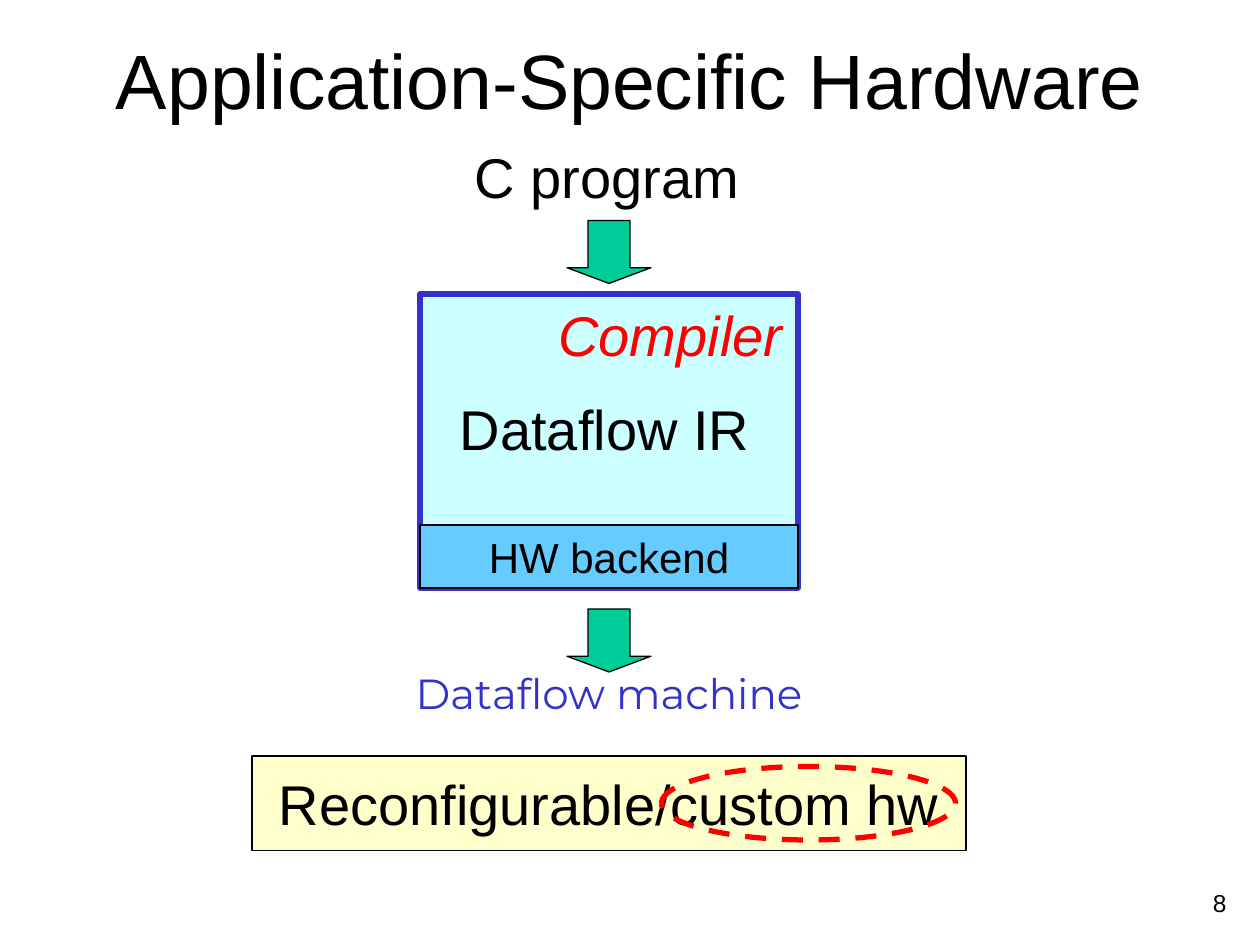
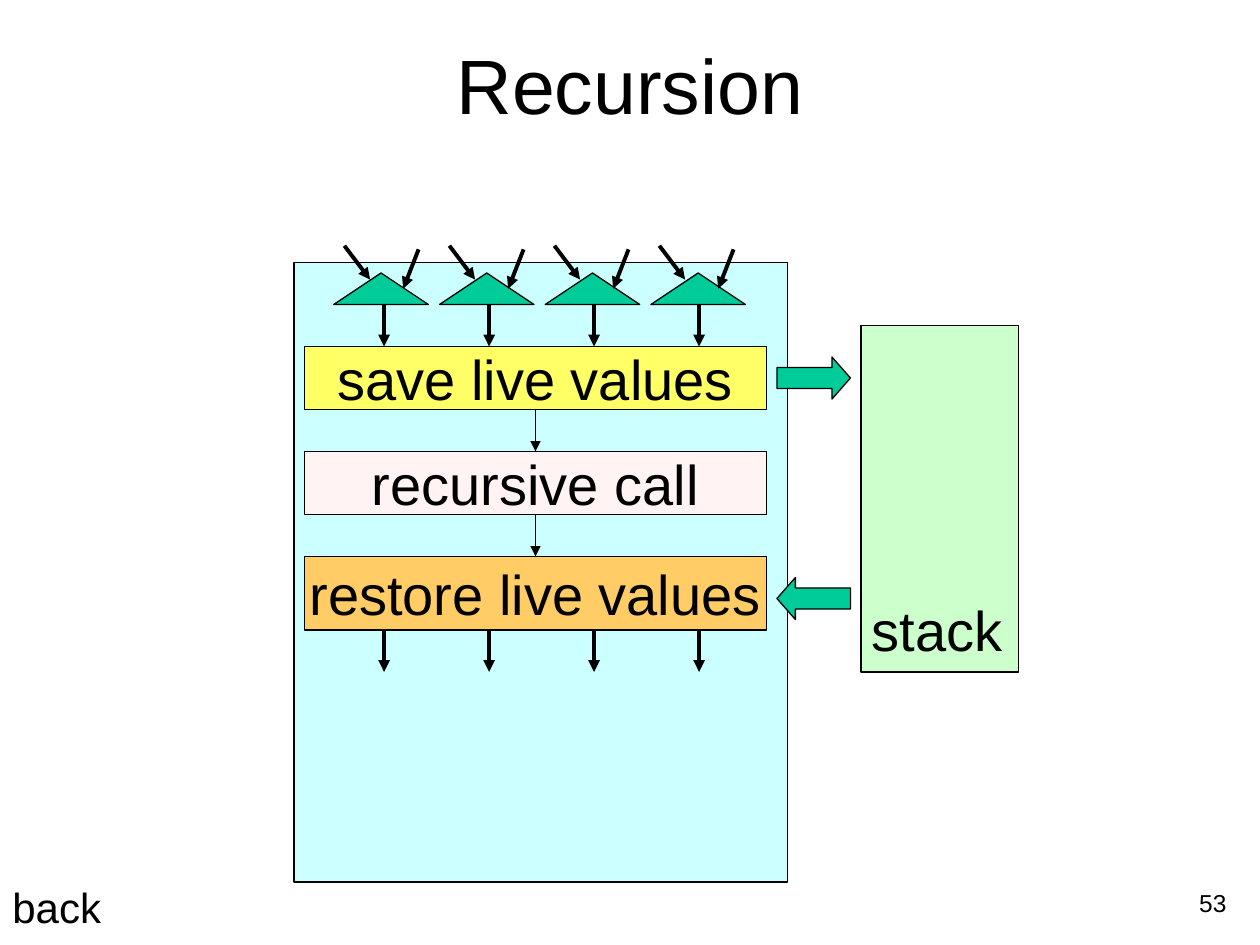
from lxml import etree
from pptx import Presentation
from pptx.dml.color import RGBColor
from pptx.enum.dml import MSO_LINE
from pptx.enum.shapes import MSO_CONNECTOR, MSO_SHAPE as SHAPE
from pptx.enum.text import MSO_ANCHOR as ANCHOR, MSO_AUTO_SIZE, PP_ALIGN as ALIGN
from pptx.oxml.ns import qn
from pptx.util import Pt

# Shared look
BLACK = RGBColor(0x00, 0x00, 0x00)
RED = RGBColor(0xFF, 0x00, 0x00)
BLUE = RGBColor(0x33, 0x33, 0xCC)
SKY = RGBColor(0x66, 0xCC, 0xFF)
CYAN = RGBColor(0xCC, 0xFF, 0xFF)
TEAL = RGBColor(0x00, 0xCC, 0x99)
GREEN = RGBColor(0xCC, 0xFF, 0xCC)
CREAM = RGBColor(0xFF, 0xFF, 0xCC)
YELLOW = RGBColor(0xFF, 0xFF, 0x66)
PINK = RGBColor(0xFF, 0xF3, 0xF3)
ORANGE = RGBColor(0xFF, 0xCC, 0x66)
FONT = "Arial"
THIN, THICK = 0.75, 2.25

# Recursion slide: four parallel values
VALUE_COUNT, VALUE_PITCH = 4, 60
MERGE_PITCH = 60.4


def write(shape, text, size=32, color=BLACK, font=FONT, italic=False,
          align=ALIGN.LEFT, anchor=ANCHOR.TOP, wrap=False):
    frame = shape.text_frame
    frame.auto_size = MSO_AUTO_SIZE.NONE
    frame.word_wrap = wrap
    frame.vertical_anchor = anchor
    para = frame.paragraphs[0]
    para.alignment = align
    span = para.add_run()
    span.text = text
    span.font.name = font
    span.font.size = Pt(size)
    span.font.italic = italic
    span.font.color.rgb = color


def add_label(page, text, left, top, width, height, **style):
    box = page.shapes.add_textbox(Pt(left), Pt(top), Pt(width), Pt(height))
    write(box, text, **style)


def add_block(page, kind, left, top, width, height, fill=None, line=BLACK,
              weight=THIN, adjust=(), text=None, size=32):
    block = page.shapes.add_shape(kind, Pt(left), Pt(top), Pt(width), Pt(height))
    block.shadow.inherit = False
    if fill is None:
        block.fill.background()
    else:
        block.fill.solid()
        block.fill.fore_color.rgb = fill
    block.line.color.rgb = line
    block.line.width = Pt(weight)
    for index, value in enumerate(adjust):
        block.adjustments[index] = value
    if text:
        write(block, text, size=size, align=ALIGN.CENTER, anchor=ANCHOR.MIDDLE)
    return block


def add_arrow(page, x1, y1, x2, y2, weight=THICK):
    arrow = page.shapes.add_connector(
        MSO_CONNECTOR.STRAIGHT, Pt(x1), Pt(y1), Pt(x2), Pt(y2))
    arrow.line.color.rgb = BLACK
    arrow.line.width = Pt(weight)
    line = arrow.line._get_or_add_ln()
    etree.SubElement(line, qn("a:tailEnd"), type="triangle")
    etree.SubElement(arrow._element.spPr, qn("a:effectLst"))
    return arrow


def join_down(page, upper, lower):
    arrow = add_arrow(page, 0, 0, 0, 0, weight=THIN)
    arrow.begin_connect(upper, 2)
    arrow.end_connect(lower, 0)


def add_page(deck, title, number, title_top, title_height):
    page = deck.slides.add_slide(deck.slide_layouts[5])
    heading = page.shapes.title
    heading.left, heading.top = Pt(54), Pt(title_top)
    heading.width, heading.height = Pt(612), Pt(title_height)
    write(heading, title, size=44, align=ALIGN.CENTER, anchor=ANCHOR.MIDDLE, wrap=True)
    add_label(page, number, 570, 504, 138, 36, size=14, align=ALIGN.RIGHT, wrap=True)
    return page


def build_hardware(deck):
    page = add_page(deck, "Application-Specific Hardware", "8", 18, 54)

    # Compiler
    add_block(page, SHAPE.RECTANGLE, 240, 168, 216, 168, CYAN, BLUE, weight=3)
    add_label(page, "C program", 264, 78, 165.6, 46)
    add_label(page, "Compiler", 312, 168, 142.5, 46, color=RED, italic=True)
    add_label(page, "Dataflow IR", 255.6, 222, 180, 46, align=ALIGN.CENTER)
    add_block(page, SHAPE.RECTANGLE, 240, 300, 216, 36, SKY, text="HW backend", size=24)

    # Input and output
    for top in (126, 348):
        add_block(page, SHAPE.DOWN_ARROW, 324, top, 48, 36, TEAL, adjust=(0.5, 0.25))
    add_label(page, "Dataflow machine", 204, 378, 288, 48, size=24, color=BLUE,
              font="Montserrat", align=ALIGN.CENTER)

    # Target
    add_block(page, SHAPE.RECTANGLE, 144, 432, 408, 54, CREAM,
              text="Reconfigurable/custom hw")
    ring = add_block(page, SHAPE.OVAL, 378, 438, 168, 42, line=RED, weight=3)
    ring.line.dash_style = MSO_LINE.DASH


def build_recursion(deck):
    page = add_page(deck, "Recursion", "53", 24, 48)
    add_block(page, SHAPE.RECTANGLE, 168, 150, 282, 354, CYAN)

    # Steps
    steps = [
        add_block(page, SHAPE.RECTANGLE, 174, top, 264, height, fill, text=text)
        for text, top, height, fill in (
            ("save live values", 198, 36, YELLOW),
            ("recursive call", 258, 36, PINK),
            ("restore live values", 318, 42, ORANGE))]
    for upper, lower in zip(steps, steps[1:]):
        join_down(page, upper, lower)

    # Stack
    add_block(page, SHAPE.RECTANGLE, 492, 186, 90, 198, GREEN)
    add_label(page, "stack", 491, 337, 89.3, 46)
    for kind, top in ((SHAPE.RIGHT_ARROW, 204), (SHAPE.LEFT_ARROW, 330)):
        add_block(page, kind, 444, top, 42, 24, TEAL, adjust=(0.5, 0.44))

    # Merges with their inputs and outputs
    for index in range(VALUE_COUNT):
        add_block(page, SHAPE.ISOSCELES_TRIANGLE, 190.75 + index * MERGE_PITCH, 156,
                  54, 18, TEAL)
        shift = index * VALUE_PITCH
        for x1, y1, x2, y2 in ((196.8, 140.4, 211.5, 159.8),
                               (239.2, 142.5, 230.4, 165),
                               (219.5, 174, 219.5, 198),
                               (219.5, 360, 219.5, 384)):
            add_arrow(page, x1 + shift, y1, x2 + shift, y2)

    add_label(page, "back", 0, 500, 65, 36, size=24)


def main():
    deck = Presentation()
    deck.slide_width, deck.slide_height = Pt(720), Pt(540)
    build_hardware(deck)
    build_recursion(deck)
    deck.save("out.pptx")


if __name__ == "__main__":
    main()
